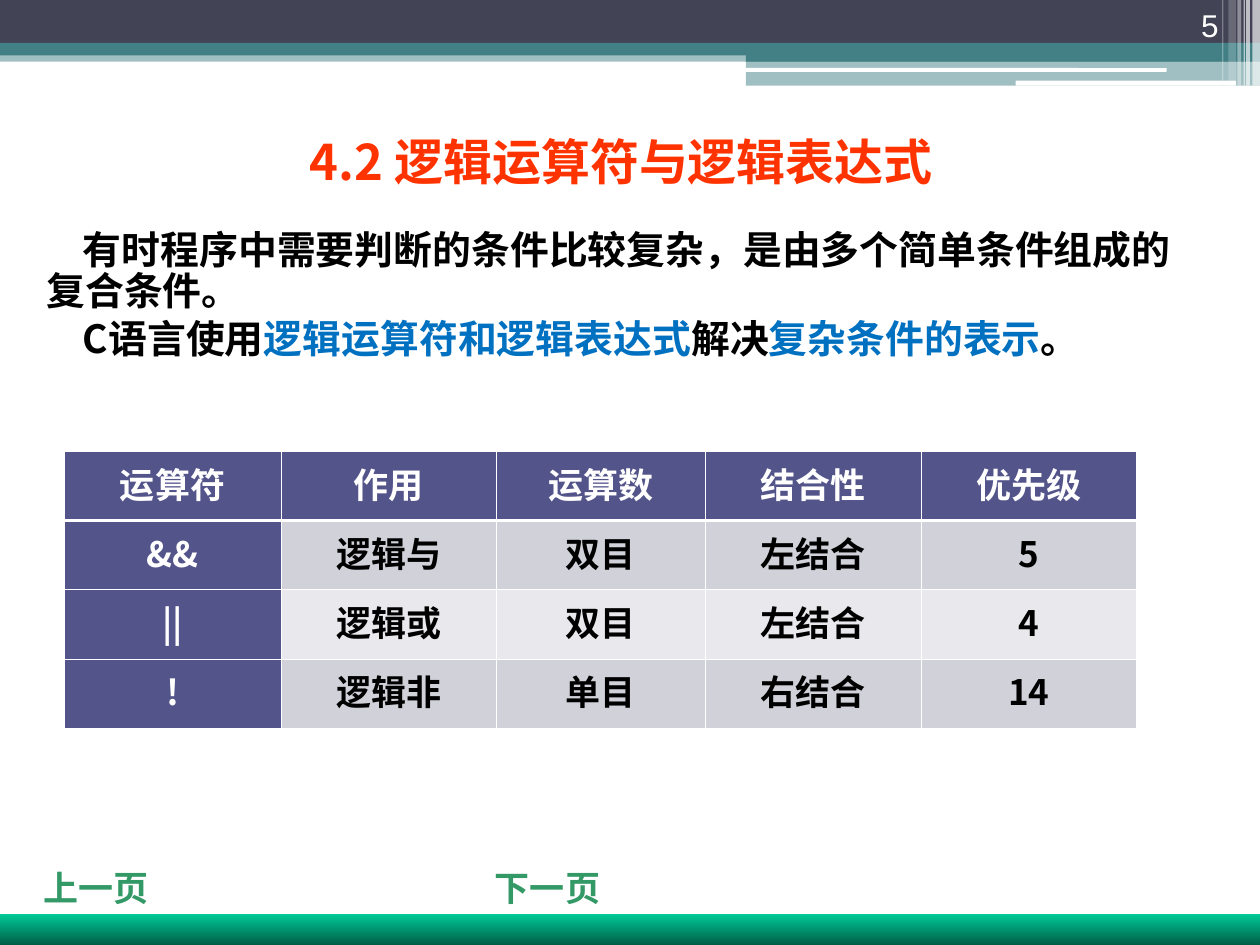
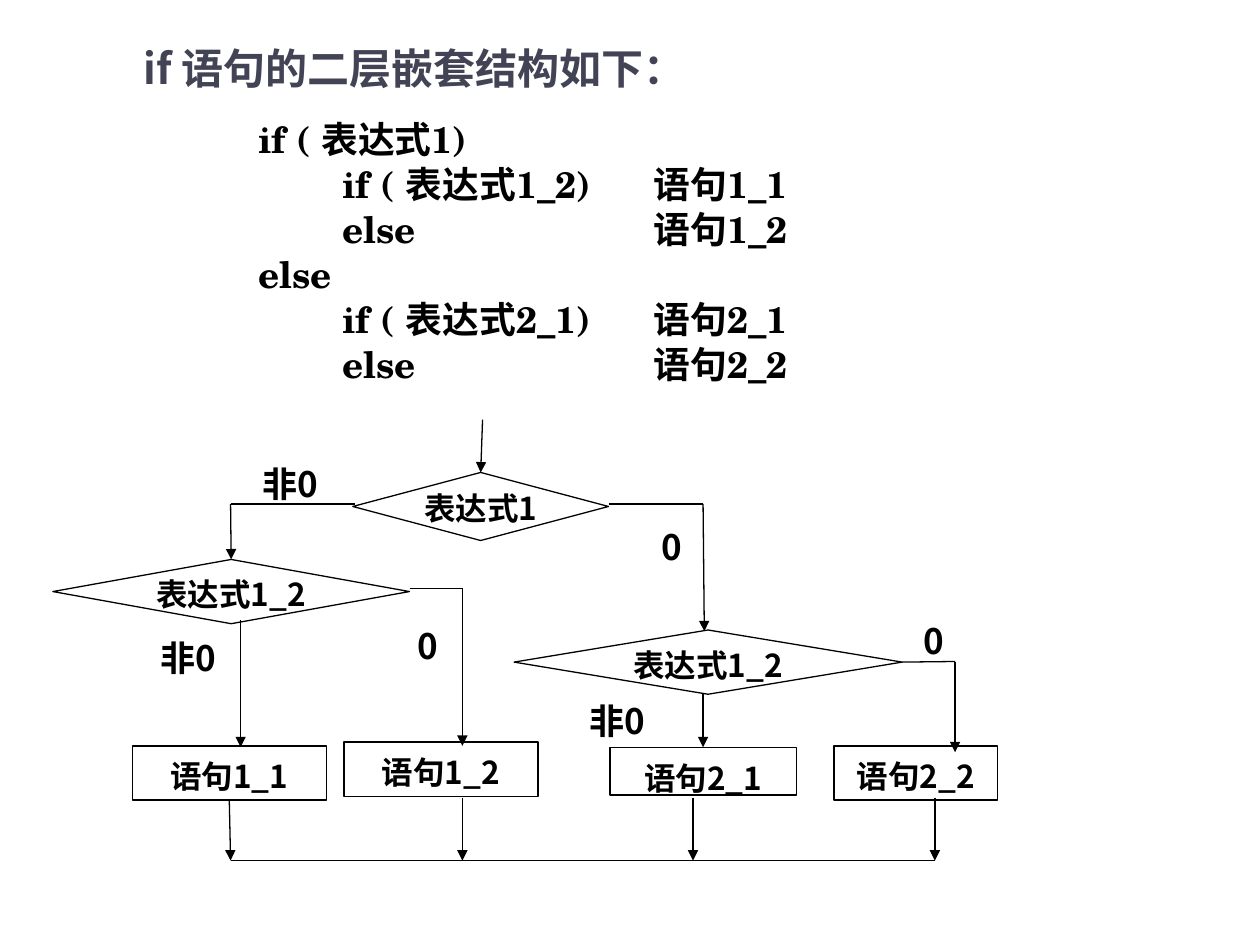
from dataclasses import dataclass
from typing import NamedTuple, Sequence

from lxml.etree import SubElement
from pptx import Presentation
from pptx.dml.color import RGBColor as Rgb
from pptx.enum.shapes import MSO_CONNECTOR as Wire, MSO_SHAPE as Kind
from pptx.enum.text import MSO_ANCHOR as Anchor, MSO_AUTO_SIZE as Fit, PP_ALIGN as Align
from pptx.oxml.ns import qn
from pptx.util import Pt

SCALE = 9144  # EMU in one px, 100 px to the inch


@dataclass(frozen=True)
class Theme:
    white: str = "FFFFFF"
    black: str = "000000"
    slate: str = "424456"
    teal: str = "438086"
    red: str = "FF3300"
    blue: str = "0070C0"
    green: str = "339966"
    mint: str = "00CC99"
    pine: str = "005E47"
    head: str = "53548A"
    odd: str = "D1D1DA"
    even: str = "E9E9ED"
    sans: str = "Noto Sans CJK SC"
    code: str = "TeX Gyre Schola"
    link: str = "Times New Roman"
    page: str = "Arial"
    big: float = 28
    title: float = 24
    body: float = 22.2
    script: float = 21
    label: float = 20
    node: float = 18
    thin: float = 0.45
    thick: float = 1.47
    line: float = 0.75


T = Theme()


class Box(NamedTuple):
    x: int
    y: int
    w: int
    h: int


class Span(NamedTuple):
    text: str
    color: str


class Band(NamedTuple):
    box: Box
    color: str
    solid: int = 100
    kind: Kind = Kind.RECTANGLE


class Node(NamedTuple):
    text: str
    box: Box
    kind: Kind = Kind.RECTANGLE


class Link(NamedTuple):
    """A line; start and end may name a node and its side."""
    x1: int
    y1: int
    x2: int
    y2: int
    tip: bool = True
    start: tuple[str, int] | None = None
    end: tuple[str, int] | None = None


class Label(NamedTuple):
    text: str
    box: Box


BANDS = [
    Band(Box(0, 40, 1000, 9), T.teal, 50),
    Band(Box(0, 0, 1000, 34), T.slate),
    Band(Box(0, 34, 1000, 10), T.teal),
    Band(Box(592, 39, 408, 10), T.teal),
    Band(Box(592, 48, 408, 20), T.teal, 50),
    Band(Box(591, 54, 335, 3), T.white, kind=Kind.ROUNDED_RECTANGLE),
    Band(Box(806, 64, 175, 4), T.white, kind=Kind.ROUNDED_RECTANGLE),
    *(Band(Box(x, 0, w, h), T.white, solid) for x, w, h, solid in (
        (994, 6, 68, 65), (989, 3, 68, 65), (987, 1, 68, 60),
        (982, 3, 68, 40), (975, 6, 64, 20), (970, 1, 64, 30))),
]
ROWS = [
    ["运算符", "作用", "运算数", "结合性", "优先级"],
    ["&&", "逻辑与", "双目", "左结合", "5"],
    ["||", "逻辑或", "双目", "左结合", "4"],
    ["!", "逻辑非", "单目", "右结合", "14"],
]
COLS = [172, 171, 166, 171, 171]
INTRO = [
    [Span("有时程序中需要判断的条件比较复杂，是由多个简单条件组成的复合条件。", T.black)],
    [Span("C语言使用", T.black), Span("逻辑运算符和逻辑表达式", T.blue),
     Span("解决", T.black), Span("复杂条件的表示", T.blue), Span("。", T.black)],
]
CODE = [
    "if ( 表达式1)",
    "        if ( 表达式1_2)\t语句1_1",
    "        else\t语句1_2",
    "else",
    "        if ( 表达式2_1)\t语句2_1",
    "        else\t语句2_2",
]
TEST = Kind.FLOWCHART_DECISION
NODES = {
    "left": Node("表达式1_2", Box(42, 444, 283, 51), TEST),
    "top": Node("表达式1", Box(280, 375, 203, 54), TEST),
    "right": Node("表达式1_2", Box(408, 500, 308, 51), TEST),
    "1_1": Node("语句1_1", Box(105, 592, 154, 43)),
    "1_2": Node("语句1_2", Box(273, 589, 154, 43)),
    "2_1": Node("语句2_1", Box(484, 593, 148, 38)),
    "2_2": Node("语句2_2", Box(662, 592, 130, 43)),
}
BASE = 683
LINKS = [
    Link(383, 333, 383, 375, end=("top", 0)),
    Link(183, 400, 282, 400, tip=False),
    Link(183, 400, 183, 444, end=("left", 0)),
    Link(483, 400, 558, 400, tip=False),
    Link(558, 400, 559, 501),
    Link(191, 492, 191, 593),
    Link(325, 467, 367, 467, tip=False),
    Link(367, 467, 367, 592),
    Link(558, 550, 558, 593, end=("2_1", 0)),
    Link(716, 525, 758, 525, tip=False, start=("right", 3)),
    Link(758, 525, 758, 597),
    Link(182, 635, 183, BASE, start=("1_1", 2)),
    *(Link(x, 633, x, BASE) for x in (367, 550, 742)),
    Link(183, BASE, 742, BASE, tip=False),
]
LABELS = [
    Label("非0", Box(208, 367, 82, 25)),
    Label("0", Box(525, 417, 14, 26)),
    Label("0", Box(733, 492, 60, 25)),
    Label("非0", Box(127, 505, 59, 25)),
    Label("0", Box(331, 496, 22, 27)),
    Label("非0", Box(468, 555, 71, 25)),
]


def px(*sizes: int) -> list[int]:
    return [size * SCALE for size in sizes]


def write(frame, lines: Sequence[str | list[Span]], *, size: float, color: str = T.black,
          font: str = T.sans, bold: bool = True, align=Align.LEFT, anchor=Anchor.TOP,
          inset: tuple = (10, 5, 10, 5), space: float = 1, gap: float = 0,
          indent: int = 0, tab: int = 0) -> None:
    """Fill a text frame; each line is one paragraph."""
    frame.auto_size, frame.word_wrap = Fit.NONE, True
    frame.vertical_anchor = anchor
    (frame.margin_left, frame.margin_top,
     frame.margin_right, frame.margin_bottom) = px(*inset)
    for i, line in enumerate(lines):
        para = frame.add_paragraph() if i else frame.paragraphs[0]
        para.alignment, para.line_spacing = align, space
        if i and gap:
            para.space_before = Pt(gap)
        props = para._p.get_or_add_pPr()
        if indent:
            props.set("marL", "0")
            props.set("indent", str(indent * SCALE))
        if tab:
            stops = SubElement(props, qn("a:tabLst"))
            SubElement(stops, qn("a:tab"), pos=str(tab * SCALE), algn="l")
        for span in [Span(line, color)] if isinstance(line, str) else line:
            run = para.add_run()
            run.text = span.text
            run.font.size, run.font.bold, run.font.name = Pt(size), bold, font
            run.font.color.rgb = Rgb.from_string(span.color)
            SubElement(run._r.get_or_add_rPr(), qn("a:ea"), typeface=T.sans)


def note(slide, box: Box, lines: Sequence[str | list[Span]], **style) -> None:
    write(slide.shapes.add_textbox(*px(*box)).text_frame, lines, **style)


def head(slide, box: Box, text: str, **style) -> None:
    title = slide.shapes.title
    title.left, title.top, title.width, title.height = px(*box)
    write(title.text_frame, [text], **style)


def shape(slide, kind: Kind, box: Box):
    item = slide.shapes.add_shape(kind, *px(*box))
    item.shadow.inherit = False
    item.line.fill.background()
    return item


def paint(slide, band: Band) -> None:
    item = shape(slide, band.kind, band.box)
    item.fill.solid()
    item.fill.fore_color.rgb = Rgb.from_string(band.color)
    if band.solid < 100:
        tint = item._element.spPr.find(".//" + qn("a:srgbClr"))
        SubElement(tint, qn("a:alpha"), val=str(band.solid * 1000))


def foot(slide) -> None:
    for text, box in (("上一页", Box(25, 683, 108, 44)), ("下一页", Box(383, 683, 117, 44))):
        note(slide, box, [text], size=T.label, color=T.green, font=T.link)
    bar = shape(slide, Kind.RECTANGLE, Box(0, 725, 1000, 25))
    bar.fill.gradient()
    bar.fill.gradient_angle = 270
    for stop, color, place in zip(bar.fill.gradient_stops, (T.mint, T.pine), (0, 1)):
        stop.color.rgb, stop.position = Rgb.from_string(color), place


def edge(cell, row: int) -> None:
    """Draw white cell borders, thick under the header row."""
    props = cell._tc.get_or_add_tcPr()
    for i, side in enumerate("LRTB"):
        heavy = (row, side) in ((0, "B"), (1, "T"))
        line = SubElement(props, qn(f"a:ln{side}"), w=str(Pt(T.thick if heavy else T.thin)))
        SubElement(SubElement(line, qn("a:solidFill")), qn("a:srgbClr"), val=T.white)
        props.insert(i, line)


def grid(slide) -> None:
    box = Box(51, 358, sum(COLS), 55 * len(ROWS))
    table = slide.shapes.add_table(len(ROWS), len(COLS), *px(*box)).table
    for col, width in zip(table.columns, px(*COLS)):
        col.width = width
    for r, row in enumerate(ROWS):
        for c, text in enumerate(row):
            cell = table.cell(r, c)
            dark = r == 0 or c == 0
            fill = T.head if dark else T.odd if r % 2 else T.even
            cell.fill.solid()
            cell.fill.fore_color.rgb = Rgb.from_string(fill)
            edge(cell, r)
            write(cell.text_frame, [text], size=T.label, align=Align.CENTER,
                  color=T.white if dark else T.black)
            cell.margin_left, cell.margin_right = px(7, 7)


def block(slide, node: Node):
    item = shape(slide, node.kind, node.box)
    item.fill.background()
    item.line.color.rgb, item.line.width = Rgb.from_string(T.black), Pt(T.line)
    write(item.text_frame, [node.text], size=T.node, align=Align.CENTER,
          inset=(0, 0, 0, 0) if node.kind == TEST else (2, 9, 2, 5))
    return item


def join(slide, link: Link, blocks: dict) -> None:
    wire = slide.shapes.add_connector(Wire.STRAIGHT, *px(link.x1, link.y1, link.x2, link.y2))
    if link.start:
        wire.begin_connect(blocks[link.start[0]], link.start[1])
    if link.end:
        wire.end_connect(blocks[link.end[0]], link.end[1])
    wire.line.color.rgb, wire.line.width = Rgb.from_string(T.black), Pt(T.line)
    if link.tip:
        SubElement(wire.line._get_or_add_ln(), qn("a:tailEnd"), type="triangle")
    SubElement(wire._element.spPr, qn("a:effectLst"))


def logic(slide) -> None:
    for band in BANDS:
        paint(slide, band)
    foot(slide)
    note(slide, Box(27, 178, 926, 157), INTRO, size=T.body, space=0.9, gap=3, indent=29)
    note(slide, Box(894, 0, 83, 40), ["5"], size=T.node, color=T.white, font=T.page,
         bold=False, align=Align.RIGHT, anchor=Anchor.BOTTOM)
    head(slide, Box(100, 99, 786, 57), "4.2 逻辑运算符与逻辑表达式",
         size=T.big, color=T.red, align=Align.CENTER)
    grid(slide)


def nest(slide) -> None:
    head(slide, Box(104, 21, 684, 66), "if 语句的二层嵌套结构如下：",
         size=T.title, color=T.slate, anchor=Anchor.MIDDLE)
    note(slide, Box(195, 92, 613, 225), CODE, size=T.script, font=T.code,
         space=0.9, gap=3, tab=314)
    blocks = {name: block(slide, node) for name, node in NODES.items()}
    for link in LINKS:
        join(slide, link, blocks)
    for label in LABELS:
        note(slide, label.box, [label.text], size=T.label, inset=(0, 0, 0, 5))


def main() -> None:
    deck = Presentation()
    deck.slide_width, deck.slide_height = px(1000, 750)
    for draw in (logic, nest):
        draw(deck.slides.add_slide(deck.slide_layouts[5]))
    deck.save("out.pptx")


if __name__ == "__main__":
    main()
